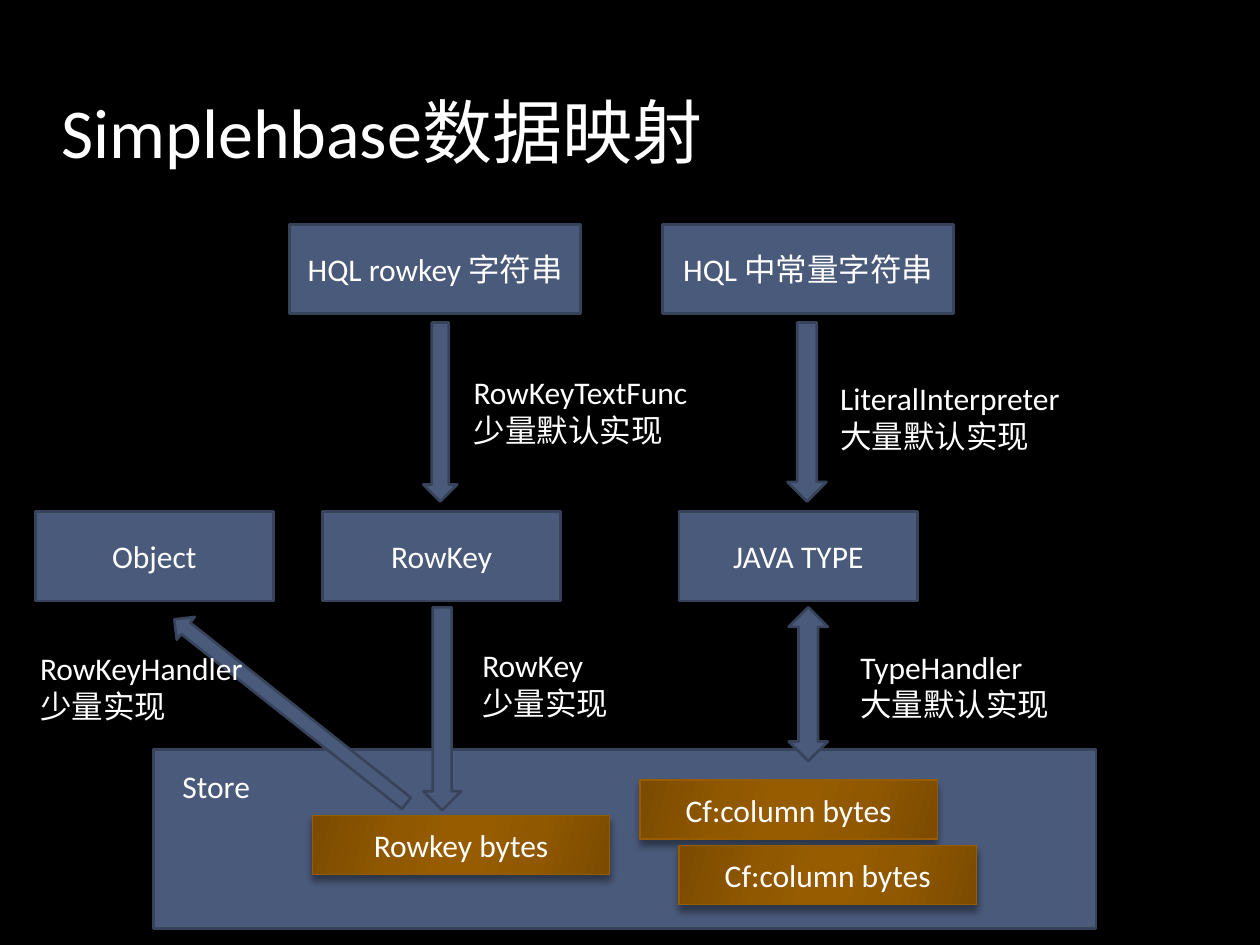
from dataclasses import dataclass
from lxml.etree import SubElement
from pptx import Presentation
from pptx.dml.color import RGBColor
from pptx.enum.shapes import MSO_SHAPE
from pptx.enum.text import MSO_ANCHOR, PP_ALIGN
from pptx.oxml import parse_xml
from pptx.oxml.ns import nsdecls, qn
from pptx.util import Inches, Pt

COLS, ROWS = 100, 75
WIDE, HIGH = Inches(10), Inches(7.5)
FONT = "Calibri"
HUES = {
    "back": "000000",
    "text": "FFFFFF",
    "blue": "4A5A7A",
    "edge": "37435A",
    "gold": "975C00",
    "rust": "905800",
    "dark": "7C4B00",
}
STOPS = [(0, "dark"), (30, "rust"), (45, "gold"), (55, "gold"), (73, "rust"), (100, "dark")]


@dataclass(frozen=True)
class Area:
    col: float
    row: float
    cols: float
    rows: float

    def place(self) -> tuple[int, int, int, int]:
        x, w = (round(n * WIDE / COLS) for n in (self.col, self.cols))
        y, h = (round(n * HIGH / ROWS) for n in (self.row, self.rows))
        return x, y, w, h


@dataclass(frozen=True)
class Block:
    area: Area
    text: str = ""
    kind: MSO_SHAPE = MSO_SHAPE.RECTANGLE
    turn: float = 0


@dataclass(frozen=True)
class Label:
    area: Area
    text: str
    size: int = 18


def color(name: str) -> RGBColor:
    return RGBColor.from_string(HUES[name])


def style(frame, size: int = 18) -> None:
    for para in frame.paragraphs:
        for run in para.runs:
            run.font.size = Pt(size)
            run.font.name = FONT
            run.font.color.rgb = color("text")


def draw_block(slide, block: Block):
    shape = slide.shapes.add_shape(block.kind, *block.area.place())
    shape.shadow.inherit = False
    shape.rotation = block.turn
    shape.fill.solid()
    shape.fill.fore_color.rgb = color("blue")
    shape.line.color.rgb = color("edge")
    shape.line.width = Pt(1.5)
    if block.text:
        frame = shape.text_frame
        frame.text = block.text
        frame.vertical_anchor = MSO_ANCHOR.MIDDLE
        frame.paragraphs[0].alignment = PP_ALIGN.CENTER
        style(frame)
    return shape


def draw_bytes(slide, block: Block) -> None:
    shape = draw_block(slide, block)
    shape.line.color.rgb = color("gold")
    shape.line.width = Pt(0.75)
    props = shape.fill._xPr
    stops = "".join(
        f'<a:gs pos="{pos * 1000}"><a:srgbClr val="{HUES[hue]}"/></a:gs>' for pos, hue in STOPS
    )
    blend = parse_xml(
        f'<a:gradFill {nsdecls("a")} rotWithShape="1"><a:gsLst>{stops}</a:gsLst>'
        '<a:lin ang="960000" scaled="1"/></a:gradFill>'
    )
    props.replace(props.find(qn("a:solidFill")), blend)
    shade = SubElement(
        props.find(qn("a:effectLst")),
        qn("a:outerShdw"),
        blurRad=str(Pt(4)),
        dist=str(Pt(3.4)),
        dir="5400000",
        rotWithShape="0",
    )
    tint = SubElement(shade, qn("a:srgbClr"), val=HUES["back"])
    SubElement(tint, qn("a:alpha"), val="40000")


def draw_label(slide, label: Label):
    frame = slide.shapes.add_textbox(*label.area.place()).text_frame
    frame.word_wrap = True
    frame.text = label.text
    style(frame, label.size)
    return frame


def draw_title(slide, label: Label) -> None:
    frame = draw_label(slide, label)
    frame.vertical_anchor = MSO_ANCHOR.BOTTOM
    frame.paragraphs[0].space_before = Pt(4)


TITLE = Label(Area(3.9, 2.5, 84, 11.7), "Simplehbase数据映射", 40)
STORE = Block(Area(12.2, 59.5, 74.8, 14.2))
BYTES = [
    Block(Area(col, row, 23.6, 4.7), text)
    for col, row, text in [
        (24.8, 64.7, "Rowkey bytes"),
        (50.8, 61.9, "Cf:column bytes"),
        (53.9, 67.1, "Cf:column bytes"),
    ]
]
TYPES = [
    Block(Area(col, 40.6, 18.9, 7.1), text)
    for col, text in [(2.8, "Object"), (25.6, "RowKey"), (53.9, "JAVA TYPE")]
]
TERMS = [
    Block(Area(col, 17.8, 23.1, 7.1), text)
    for col, text in [(23, "HQL rowkey 字符串"), (52.6, "HQL 中常量字符串")]
]
ARROWS = [
    Block(Area(33.6, 25.6, 2.7, 14.2), kind=MSO_SHAPE.DOWN_ARROW),
    Block(Area(62.5, 25.6, 3.1, 14.2), kind=MSO_SHAPE.DOWN_ARROW),
    Block(Area(33.6, 48.2, 3, 16.1), kind=MSO_SHAPE.DOWN_ARROW),
    Block(Area(21.9, 44.7, 2.3, 23.5), kind=MSO_SHAPE.UP_ARROW, turn=308.4),
    Block(Area(62.6, 48.2, 3.1, 12.2), kind=MSO_SHAPE.UP_DOWN_ARROW),
]
LABELS = [
    Label(Area(13.5, 60.4, 8.7, 4), "Store"),
    Label(Area(65.7, 29.6, 25.2, 7.1), "LiteralInterpreter\n大量默认实现"),
    Label(Area(67.3, 50.9, 20.5, 7.1), "TypeHandler\n大量默认实现"),
    Label(Area(36.6, 29.1, 20.8, 7.1), "RowKeyTextFunc\n少量默认实现"),
    Label(Area(37.3, 50.8, 14.4, 7.1), "RowKey\n少量实现"),
    Label(Area(2.2, 51, 22, 7.1), "RowKeyHandler\n少量实现"),
]


def main() -> None:
    deck = Presentation()
    deck.slide_width, deck.slide_height = WIDE, HIGH
    slide = deck.slides.add_slide(deck.slide_layouts[6])
    slide.background.fill.solid()
    slide.background.fill.fore_color.rgb = color("back")
    draw_title(slide, TITLE)
    draw_block(slide, STORE)
    for block in BYTES:
        draw_bytes(slide, block)
    for block in TYPES + TERMS + ARROWS:
        draw_block(slide, block)
    for label in LABELS:
        draw_label(slide, label)
    deck.save("out.pptx")


if __name__ == "__main__":
    main()
